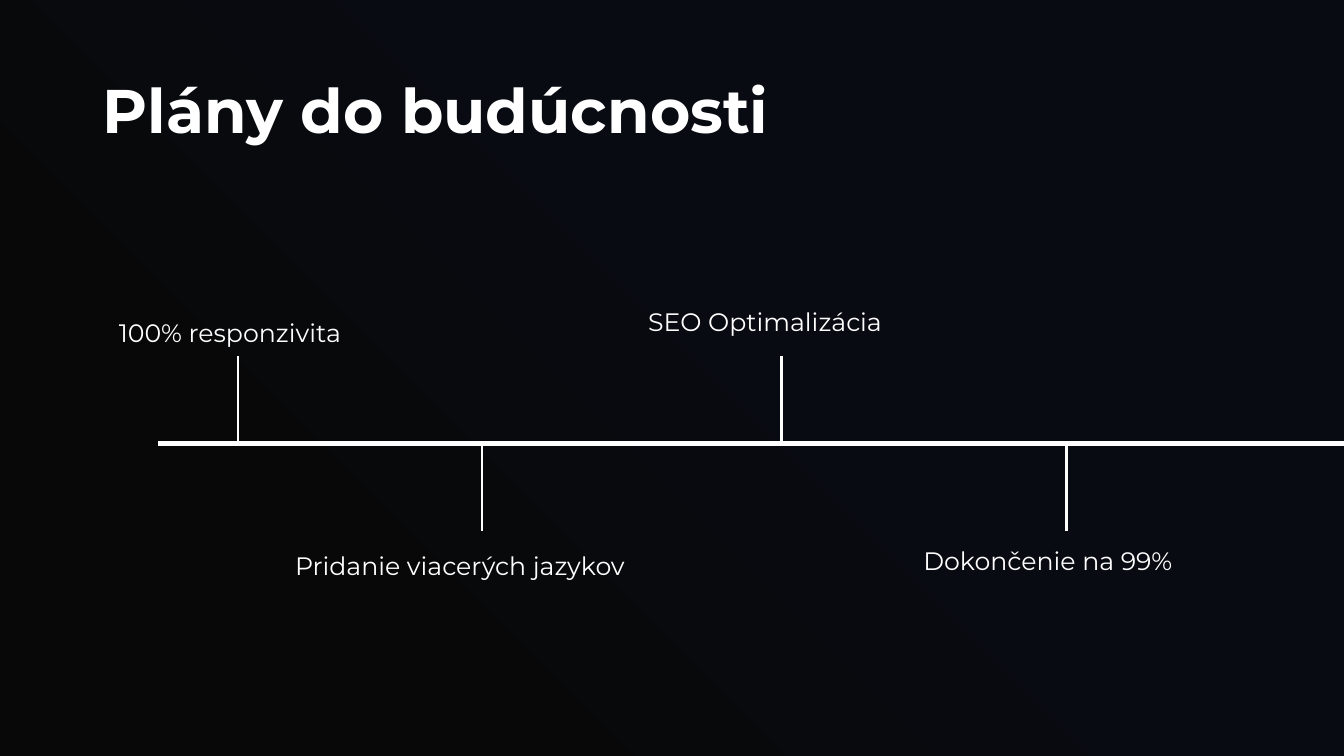
from lxml import etree
from pptx import Presentation
from pptx.dml.color import RGBColor
from pptx.enum.shapes import MSO_CONNECTOR
from pptx.enum.text import MSO_ANCHOR
from pptx.oxml.ns import qn
from pptx.util import Inches, Pt

STRAIGHT = MSO_CONNECTOR.STRAIGHT
TOP, MIDDLE = MSO_ANCHOR.TOP, MSO_ANCHOR.MIDDLE
WHITE = "FFFFFF"
FONT = "Montserrat"
PAGE_WIDTH, PAGE_HEIGHT = 13.33, 7.5
AXIS_LEFT, AXIS_Y = 1.57, 4.4
TICK_LENGTH = 0.87


def add_label(text, left, top, width, height, size=18, bold=False, anchor=TOP):
    box = page.shapes.add_textbox(Inches(left), Inches(top), Inches(width), Inches(height))
    frame = box.text_frame
    frame.word_wrap = True
    frame.vertical_anchor = anchor
    para = frame.paragraphs[0]
    span = para.add_run()
    span.text = text
    span.font.name = FONT
    span.font.size = Pt(size)
    span.font.bold = bold
    span.font.color.rgb = RGBColor.from_string(WHITE)
    return para


def add_line(x1, y1, x2, y2, weight):
    line = page.shapes.add_connector(STRAIGHT, Inches(x1), Inches(y1), Inches(x2), Inches(y2))
    line.line.color.rgb = RGBColor.from_string(WHITE)
    line.line.width = Pt(weight)
    etree.SubElement(line.element.spPr, qn("a:effectLst"))


deck = Presentation()
deck.slide_width = Inches(PAGE_WIDTH)
deck.slide_height = Inches(PAGE_HEIGHT)
page = deck.slides.add_slide(deck.slide_layouts[6])

# Background: radial gradient spreading from the bottom left corner
fill = page.background.fill
fill.gradient()
for stop, (position, color) in zip(fill.gradient_stops, [(0.23, "080808"), (0.59, "080B11")]):
    stop.position = position
    stop.color.rgb = RGBColor.from_string(color)
gradient = page.element.find(".//" + qn("a:gradFill"))
gradient.remove(gradient.find(qn("a:lin")))
radial = etree.Element(qn("a:path"), {"path": "circle"})
etree.SubElement(radial, qn("a:fillToRect"), {"t": "100000", "r": "100000"})
gradient.find(qn("a:gsLst")).addnext(radial)

# Title
title = add_label("Plány do budúcnosti", 0.92, 0.4, 11.5, 1.45, size=44, bold=True, anchor=MIDDLE)
title.line_spacing = 0.9

# Timeline axis
add_line(AXIS_LEFT, AXIS_Y, PAGE_WIDTH, AXIS_Y, 3.25)

# Milestones: text, tick x, tick direction (-1 up, 1 down), label left, top, width
milestones = [
    ("100% responzivita", 2.36, -1, 1.08, 3.1, 2.84),
    ("Pridanie viacerých jazykov", 4.78, 1, 2.83, 5.41, 3.9),
    ("SEO Optimalizácia", 7.75, -1, 6.33, 2.99, 2.84),
    ("Dokončenie na 99%", 10.58, 1, 9.06, 5.36, 3.12),
]
for text, tick_x, direction, left, top, width in milestones:
    add_line(tick_x, AXIS_Y, tick_x, AXIS_Y + direction * TICK_LENGTH, 2)
    add_label(text, left, top, width, 0.4)

deck.save("out.pptx")
